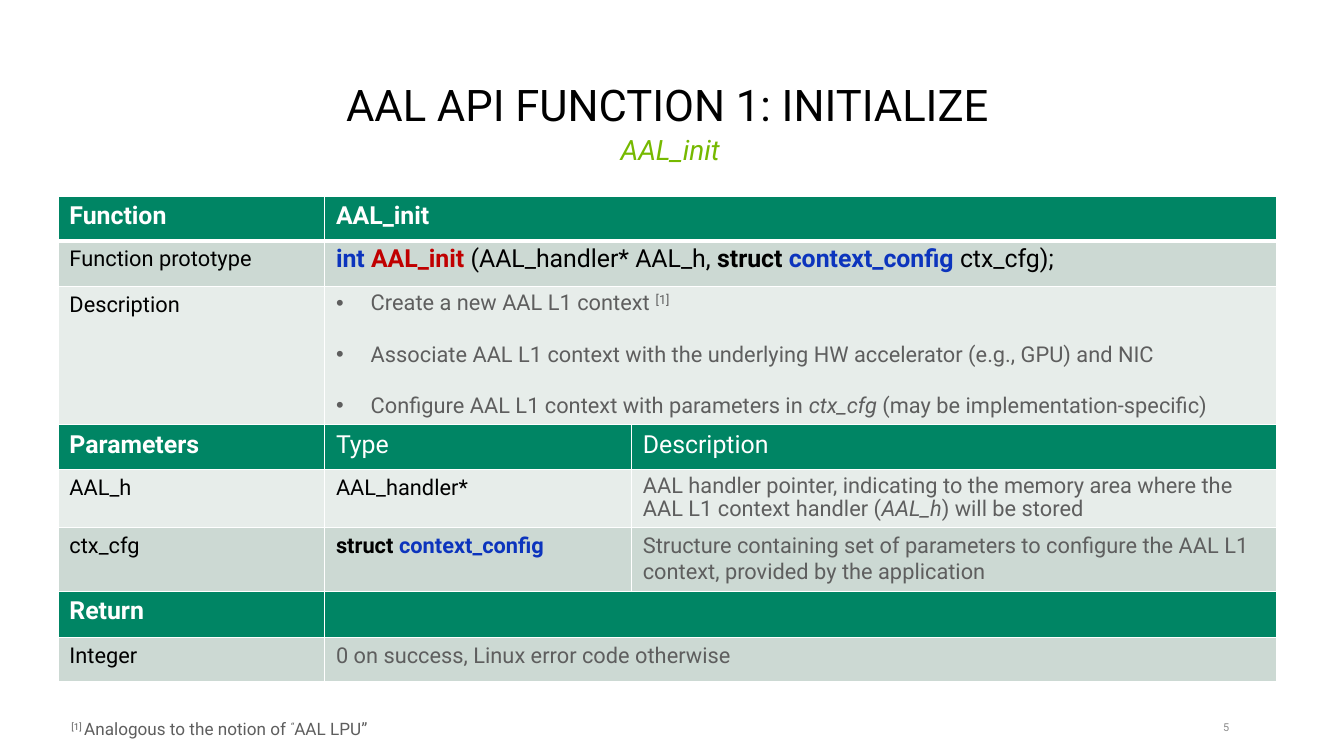
"""Build the slide that documents the AAL_init function."""
from lxml import etree
from pptx import Presentation, util as u
from pptx.dml.color import RGBColor
from pptx.enum import text as t
from pptx.oxml.ns import qn

GREEN, LIME = RGBColor(0x00, 0x85, 0x64), RGBColor(0x76, 0xB9, 0x00)
SAGE, MIST = RGBColor(0xCC, 0xD9, 0xD3), RGBColor(0xE7, 0xED, 0xEA)
BLUE, RED = RGBColor(0x0C, 0x34, 0xBD), RGBColor(0xC0, 0x00, 0x00)
BLACK, WHITE = RGBColor(0, 0, 0), RGBColor(0xFF, 0xFF, 0xFF)
GRAY, PALE = RGBColor(0x5E, 0x5E, 0x5E), RGBColor(0x8C, 0x8C, 0x8C)

HEAD = dict(size=16, color=WHITE, bold=True)
SUBHEAD = dict(size=16, color=WHITE)
LABEL = dict(size=14)
NOTE = dict(size=14, color=GRAY)
TIGHT = dict(line=0.9, gap=9)
BOLD, ITALIC, RAISED = dict(bold=True), dict(italic=True), dict(raised=True)
TYPE_NAME = dict(bold=True, color=BLUE)

PROTOTYPE = [[("int ", TYPE_NAME), ("AAL_init ", dict(bold=True, color=RED)),
              "(AAL_handler* AAL_h, ", ("struct ", BOLD),
              ("context_config ", TYPE_NAME), "ctx_cfg);"]]
STEPS = [
    ["Create a new AAL L1 context ", ("[1]", RAISED)],
    ["Associate AAL L1 context with the underlying HW accelerator (e.g., GPU) and NIC"],
    ["Configure AAL L1 context with parameters in ", ("ctx_cfg ", ITALIC),
     "(may be implementation-specific)"],
]
HANDLER = [["AAL handler pointer, indicating to the memory area where the AAL L1 context handler (",
            ("AAL_h", ITALIC), ") will be stored"]]
CONFIG = [["Structure containing set of parameters to configure the AAL L1 context, "
           "provided by the application"]]

COLUMNS = [2.38, 2.74, 5.76]
ROWS = [
    (0.4, GREEN, [([["Function"]], HEAD), ([["AAL_init"]], HEAD)]),
    (0.41, SAGE, [([["Function prototype"]], LABEL), (PROTOTYPE, dict(size=16, **TIGHT))]),
    (1.22, MIST, [([["Description"]], LABEL), (STEPS, dict(bullet=0.31, **NOTE, **TIGHT))]),
    (0.4, GREEN, [([["Parameters"]], HEAD), ([["Type"]], SUBHEAD), ([["Description"]], SUBHEAD)]),
    (0.52, MIST, [([["AAL_h"]], LABEL), ([["AAL_handler*"]], LABEL),
                  (HANDLER, dict(**NOTE, **TIGHT))]),
    (0.55, SAGE, [([["ctx_cfg"]], LABEL),
                  ([[("struct ", BOLD), ("context_config", TYPE_NAME)]], LABEL),
                  (CONFIG, NOTE)]),
    (0.41, GREEN, [([["Return"]], HEAD), ([], HEAD)]),
    (0.4, SAGE, [([["Integer"]], LABEL),
                 ([["0 on success, Linux error code otherwise"]], NOTE)]),
]

CENTER, RIGHT = t.PP_ALIGN.CENTER, t.PP_ALIGN.RIGHT
TOP, MIDDLE, BOTTOM = t.MSO_ANCHOR.TOP, t.MSO_ANCHOR.MIDDLE, t.MSO_ANCHOR.BOTTOM
BOXES = [
    ((10.66, 6.41, 0.35, 0.15), MIDDLE, 0,
     [["5", (" ", dict(size=9, face="TeX Gyre Adventor"))]],
     dict(size=7, color=PALE, align=RIGHT)),
    ((0.55, 0.57, 10.91, 0.65), BOTTOM, None, [["AAL API FUNCTION 1: INITIALIZE "]],
     dict(size=28, align=CENTER, line=0.9)),
    ((0.53, 1.17, 10.91, 0.57), TOP, None, [["AAL_init"]],
     dict(size=18, color=LIME, italic=True, align=CENTER, line=0.9)),
    ((0.34, 6.38, 3.24, 0.27), MIDDLE, None,
     [[("[1] ", dict(size=10.5, raised=True)), "Analogous to the notion of ",
       ("“", RAISED), "AAL LPU”"]],
     dict(size=11, color=GRAY, align=CENTER, line=0.9)),
]


def style_span(span, size, color=BLACK, bold=False, italic=False, raised=False, face="Roboto"):
    font = span.font
    font.size, font.name, font.bold, font.italic = u.Pt(size), face, bold, italic
    font.color.rgb = color
    if raised:
        font._element.set("baseline", "30000")


def write(frame, paragraphs, align=None, line=None, gap=0, bullet=0, **style):
    for index, parts in enumerate(paragraphs):
        para = frame.add_paragraph() if index else frame.paragraphs[0]
        if bullet:
            properties = para._p.get_or_add_pPr()
            indent = u.Inches(bullet)
            properties.set("marL", str(indent))
            properties.set("indent", str(-indent))
            etree.SubElement(properties, qn("a:buFont"), typeface="Arial")
            etree.SubElement(properties, qn("a:buChar"), char="•")
        para.alignment, para.line_spacing = align, line
        if gap and index:
            para.space_before = u.Pt(gap)
        if gap and index < len(paragraphs) - 1:
            para.space_after = u.Pt(gap)
        for part in parts:
            words, changes = (part, {}) if isinstance(part, str) else part
            span = para.add_run()
            span.text = words
            style_span(span, **{**style, **changes})


def add_borders(cell, bottom):
    properties = cell._tc.get_or_add_tcPr()
    widths = {"lnL": 1, "lnR": 1, "lnT": 1, "lnB": bottom}
    for index, (side, width) in enumerate(widths.items()):
        border = etree.Element(qn(f"a:{side}"), w=str(u.Pt(width)))
        fill = etree.SubElement(border, qn("a:solidFill"))
        etree.SubElement(fill, qn("a:srgbClr"), val=str(WHITE))
        properties.insert(index, border)


def add_function_table(page):
    heights = [row[0] for row in ROWS]
    size = (u.Inches(sum(COLUMNS)), u.Inches(sum(heights)))
    table = page.shapes.add_table(len(ROWS), len(COLUMNS), u.Inches(0.52), u.Inches(1.75),
                                  *size).table
    table.first_row = table.horz_banding = False
    for column, width in zip(table.columns, COLUMNS):
        column.width = u.Inches(width)
    for r, (height, color, contents) in enumerate(ROWS):
        table.rows[r].height = u.Inches(height)
        for c in range(len(COLUMNS)):
            cell = table.cell(r, c)
            cell.fill.solid()
            cell.fill.fore_color.rgb = color
            add_borders(cell, 1 if r else 3)
        if len(contents) < len(COLUMNS):
            table.cell(r, 1).merge(table.cell(r, 2))
        for c, (paragraphs, style) in enumerate(contents):
            write(table.cell(r, c).text_frame, paragraphs, **style)


def add_box(page, place, anchor, inset, paragraphs, style):
    frame = page.shapes.add_textbox(*map(u.Inches, place)).text_frame
    frame.word_wrap, frame.vertical_anchor = True, anchor
    if inset is not None:
        frame.margin_left = frame.margin_right = u.Inches(inset)
        frame.margin_top = frame.margin_bottom = u.Inches(inset)
    write(frame, paragraphs, **style)


def main():
    deck = Presentation()
    deck.slide_width, deck.slide_height = u.Inches(12), u.Inches(6.75)
    page = deck.slides.add_slide(deck.slide_layouts[6])
    for box in BOXES:
        add_box(page, *box)
    add_function_table(page)
    deck.save("out.pptx")


if __name__ == "__main__":
    main()
